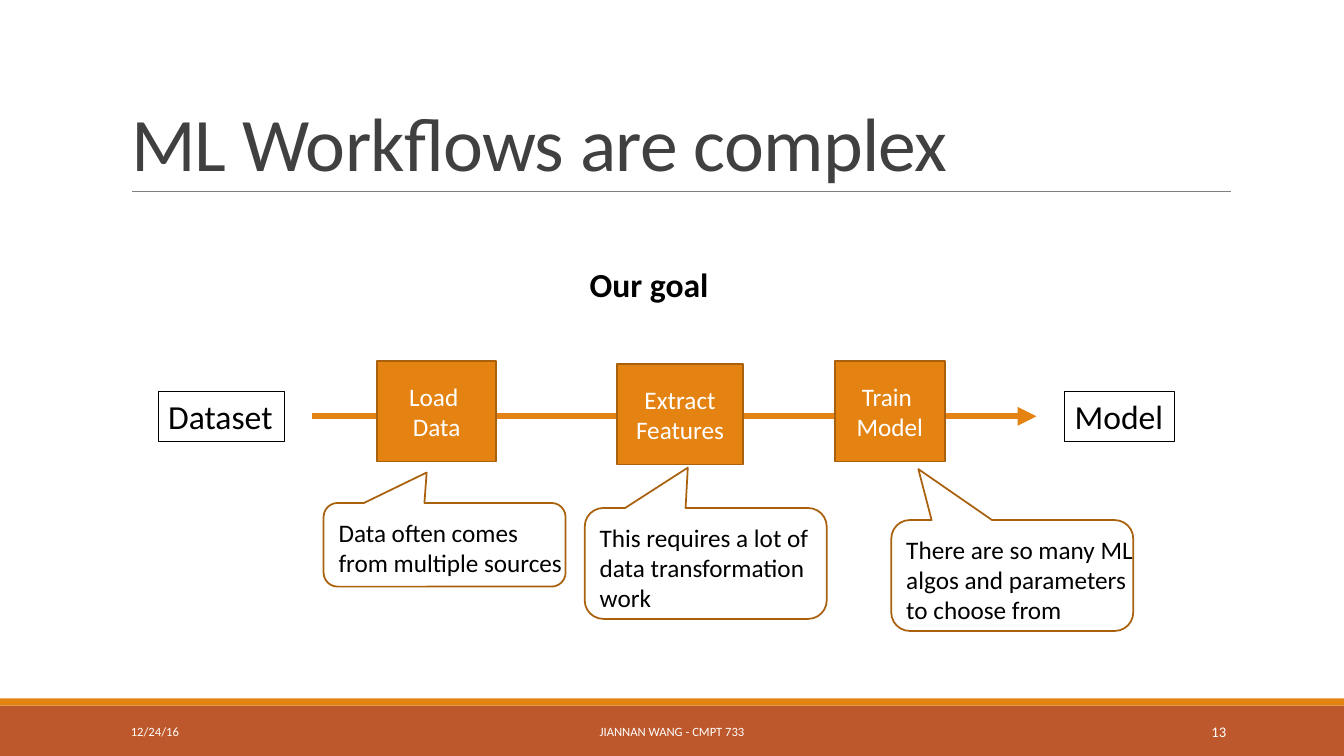
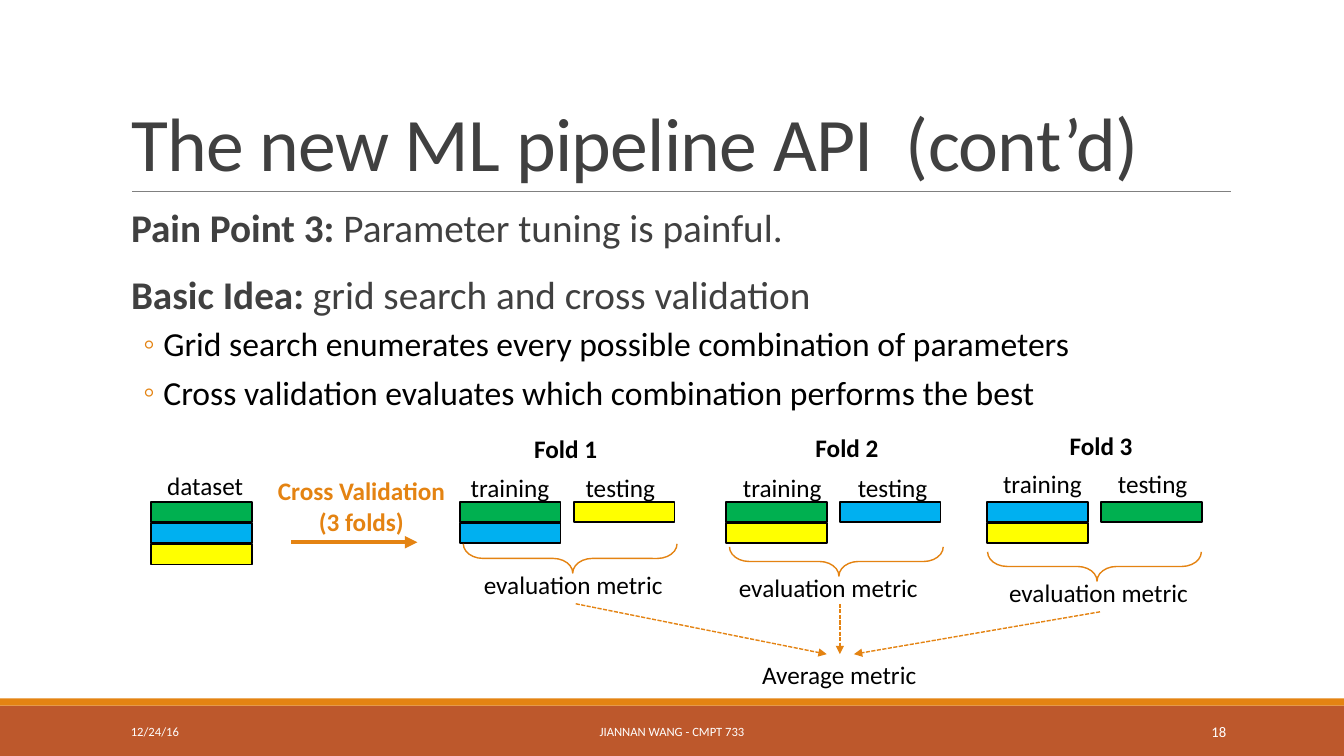
from lxml import etree
from pptx import Presentation
from pptx import util as u
from pptx.dml.color import RGBColor
from pptx.enum import dml, shapes, text
from pptx.oxml import ns

# Palette
ORANGE, RUST, BROWN = "E48312", "BD582C", "A9610D"
BLACK, WHITE, CHARCOAL, GREY = "000000", "FFFFFF", "404040", "808080"
GREEN, BLUE, YELLOW = "00B050", "00B0F0", "FFFF00"

SHAPE, ALIGN, ANCHOR = shapes.MSO_SHAPE, text.PP_ALIGN, text.MSO_ANCHOR
TITLE_AND_BODY, TITLE_ONLY = 1, 5


def rgb(color):
    return RGBColor.from_string(color)


def place(shape, left, top, width, height):
    shape.left, shape.top = u.Inches(left), u.Inches(top)
    shape.width, shape.height = u.Inches(width), u.Inches(height)


def add_xml(parent, tag, **attributes):
    return etree.SubElement(parent, ns.qn(tag), attributes)


class Deck:
    """Holds the shared style and the slide being built."""

    FONT = "Calibri"

    def __init__(self):
        self.presentation = Presentation()
        self.presentation.slide_width = u.Inches(13.33)
        self.presentation.slide_height = u.Inches(7.5)
        self.slide = None

    def style_run(self, run, size, color, bold=False):
        run.font.name, run.font.size = self.FONT, u.Pt(size)
        run.font.color.rgb, run.font.bold = rgb(color), bold

    def style_text(self, frame, size, color, bold=False, align=ALIGN.LEFT):
        for paragraph in frame.paragraphs:
            paragraph.alignment = align
            for run in paragraph.runs:
                self.style_run(run, size, color, bold)

    def new_slide(self, layout, title, number):
        self.slide = self.presentation.slides.add_slide(
            self.presentation.slide_layouts[layout])
        # Bands and title rule
        self.box((0, 7, 13.33, 0.5), fill=RUST)
        self.box((0, 6.93, 13.33, 0.07), fill=ORANGE)
        self.line((1.31, 1.9), (12.21, 1.9), GREY, 0.5, arrow=False)
        # Title
        shape = self.slide.shapes.title
        place(shape, 1.2, 0.31, 11, 1.59)
        frame = shape.text_frame
        frame.text = title
        frame.auto_size = text.MSO_AUTO_SIZE.NONE
        frame.vertical_anchor = ANCHOR.BOTTOM
        self.style_text(frame, 54, CHARCOAL)
        paragraph = frame.paragraphs[0]
        paragraph.line_spacing = 0.85
        paragraph.runs[0].font._element.set("spc", "-50")
        # Footer
        for content, left, width, size, align in (
                ("12/24/16", 1.2, 2.7, 9, ALIGN.LEFT),
                ("JIANNAN WANG - CMPT 733", 4.03, 5.27, 9, ALIGN.CENTER),
                (str(number), 10.83, 1.43, 10.5, ALIGN.RIGHT)):
            footer = self.label(content, (left, 7.06, width, 0.4), size,
                                WHITE, align=align, wrap=True)
            footer.text_frame.vertical_anchor = ANCHOR.MIDDLE

    def box(self, area, kind=SHAPE.RECTANGLE, fill=None, line=None,
            weight=1.25, adjust=(), content=None):
        shape = self.slide.shapes.add_shape(kind, *map(u.Inches, area))
        shape.shadow.inherit = False
        for index, value in enumerate(adjust):
            shape.adjustments[index] = value
        if fill:
            shape.fill.solid()
            shape.fill.fore_color.rgb = rgb(fill)
        else:
            shape.fill.background()
        if line:
            shape.line.color.rgb, shape.line.width = rgb(line), u.Pt(weight)
        else:
            shape.line.fill.background()
        if content:
            shape.text_frame.text = content
            shape.text_frame.vertical_anchor = ANCHOR.MIDDLE
            self.style_text(shape.text_frame, 18, WHITE, align=ALIGN.CENTER)
        return shape

    def label(self, content, area, size=18, color=BLACK, bold=False,
              align=ALIGN.LEFT, wrap=False, border=None):
        shape = self.slide.shapes.add_textbox(*map(u.Inches, area))
        shape.text_frame.text = content
        shape.text_frame.word_wrap = wrap
        self.style_text(shape.text_frame, size, color, bold, align)
        if border:
            shape.line.color.rgb, shape.line.width = rgb(border), u.Pt(0.75)
        return shape

    def line(self, start, end, color=ORANGE, weight=1, dashed=False, arrow=True):
        connector = self.slide.shapes.add_connector(
            shapes.MSO_CONNECTOR.STRAIGHT, *map(u.Inches, start + end))
        connector.line.color.rgb = rgb(color)
        connector.line.width = u.Pt(weight)
        if dashed:
            connector.line.dash_style = dml.MSO_LINE.SQUARE_DOT
        properties = connector._element.spPr
        if arrow:
            add_xml(properties.find(ns.qn("a:ln")), "a:tailEnd", type="triangle")
        add_xml(properties, "a:effectLst")

    def callout(self, content, left, top, height, pointer):
        self.box((left, top, 2.4, height), SHAPE.ROUNDED_RECTANGULAR_CALLOUT,
                 line=BROWN, adjust=pointer + (0.167,))
        self.label(content, (left + 0.05, top + 0.09, 2.5, height - 0.1), wrap=True)

    def body(self, points, bullets):
        shape = self.slide.placeholders[1]
        place(shape, 1.2, 2.02, 11, 4.4)
        frame = shape.text_frame
        frame.auto_size = text.MSO_AUTO_SIZE.NONE
        frame.margin_left = frame.margin_right = 0
        frame.text = "\n".join([lead for lead, _ in points] + bullets)
        paragraphs = frame.paragraphs
        for paragraph, (_, rest) in zip(paragraphs, points):
            self.style_run(paragraph.runs[0], 28, CHARCOAL, bold=True)
            run = paragraph.add_run()
            run.text = rest
            self.style_run(run, 28, CHARCOAL)
            self.list_style(paragraph, 0.1, 0, 12, 2)
        paragraphs[0].line_spacing = 0.9
        for paragraph in paragraphs[len(points):]:
            paragraph.level = 1
            self.style_run(paragraph.runs[0], 24, BLACK)
            self.list_style(paragraph, 0.42, -0.2, 2, 4, "◦")

    def list_style(self, paragraph, margin, indent, before, after, bullet=None):
        paragraph.space_before, paragraph.space_after = u.Pt(before), u.Pt(after)
        paragraph.line_spacing = 1.0
        properties = paragraph._p.get_or_add_pPr()
        properties.set("marL", str(u.Inches(margin)))
        properties.set("indent", str(u.Inches(indent)))
        if bullet:
            add_xml(add_xml(properties, "a:buClr"), "a:srgbClr", val=ORANGE)
            add_xml(properties, "a:buChar", char=bullet)
        else:
            add_xml(properties, "a:buNone")

    def blocks(self, left, colors):
        for row, color in enumerate(colors):
            self.box((left, 4.98 + 0.21 * row, 1, 0.2), fill=color, line=BLACK)

    def fold(self, number, test, left, label_at, title_at, brace_at, metric_left):
        parts = [GREEN, BLUE, YELLOW]
        self.blocks(left, [color for color in parts if color != test])
        self.blocks(left + 1.13, [test])
        label_left, label_top = label_at
        self.label("training", (label_left, label_top, 0.99, 0.4))
        self.label("testing", (label_left + 1.14, label_top, 0.9, 0.4))
        self.label(f"Fold {number}", title_at + (0.83, 0.4), bold=True)
        brace = self.box(brace_at + (0.29, 2.12), SHAPE.RIGHT_BRACE,
                         line=ORANGE, weight=1, adjust=(0.671, 0.488))
        brace.rotation = 90
        self.label("evaluation metric", (metric_left, brace_at[1] + 1.12, 2, 0.4))


def workflow_slide(deck):
    deck.new_slide(TITLE_ONLY, "ML Workflows are complex", 13)
    deck.label("Our goal", (5.75, 2.57, 1.39, 0.5), 24, bold=True)
    # Pipeline from dataset to model
    deck.label("Dataset", (1.57, 3.88, 1.25, 0.5), 24, border=BLACK)
    deck.label("Model", (10.56, 3.88, 1.09, 0.5), 24, border=BLACK)
    deck.line((3.09, 4.13), (10.28, 4.13), weight=4.5)
    for content, left, top, width in (("Load \nData", 3.74, 3.58, 1.18),
                                      ("Extract Features", 6.12, 3.61, 1.25),
                                      ("Train \nModel", 8.28, 3.58, 1.09)):
        deck.box((left, top, width, 1), fill=ORANGE, line=BROWN, content=content)
    # Remarks on each step
    deck.callout("Data often comes from multiple sources",
                 3.21, 4.99, 0.83, (-0.074, -0.864))
    deck.callout("This requires a lot of data transformation work",
                 5.8, 5.04, 1.1, (-0.074, -0.864))
    deck.callout("There are so many ML algos and parameters to choose from",
                 8.84, 5.16, 1.1, (-0.388, -0.96))


def validation_slide(deck):
    deck.new_slide(TITLE_AND_BODY, "The new ML pipeline API  (cont’d)", 18)
    deck.body([("Pain Point 3: ", "Parameter tuning is painful."),
               ("Basic Idea: ", "grid search and cross validation")],
              ["Grid search enumerates every possible combination of parameters",
               "Cross validation evaluates which combination performs the best"])
    # Whole dataset and the split
    deck.blocks(1.5, [GREEN, BLUE, YELLOW])
    deck.label("dataset", (1.56, 4.62, 0.96, 0.4))
    deck.label("Cross Validation\n(3 folds)", (2.65, 4.67, 1.87, 0.71),
               color=ORANGE, bold=True, align=ALIGN.CENTER)
    deck.line((2.89, 5.38), (4.14, 5.38), weight=3)
    # Folds
    deck.fold(1, YELLOW, 4.56, (4.57, 4.64), (5.2, 4.25), (5.51, 4.48), 4.7)
    deck.fold(2, BLUE, 7.2, (7.27, 4.64), (7.99, 4.24), (8.15, 4.51), 7.23)
    deck.fold(3, GREEN, 9.79, (9.85, 4.6), (10.51, 4.22), (10.71, 4.56), 9.91)
    # Average of the three metrics
    for start, end in (((5.71, 5.99), (8.2, 6.49)),
                       ((8.33, 5.99), (8.33, 6.49)),
                       ((10.91, 6.07), (8.47, 6.49))):
        deck.line(start, end, dashed=True)
    deck.label("Average metric", (7.46, 6.49, 1.75, 0.4))


def main():
    deck = Deck()
    workflow_slide(deck)
    validation_slide(deck)
    deck.presentation.save("out.pptx")


if __name__ == "__main__":
    main()
